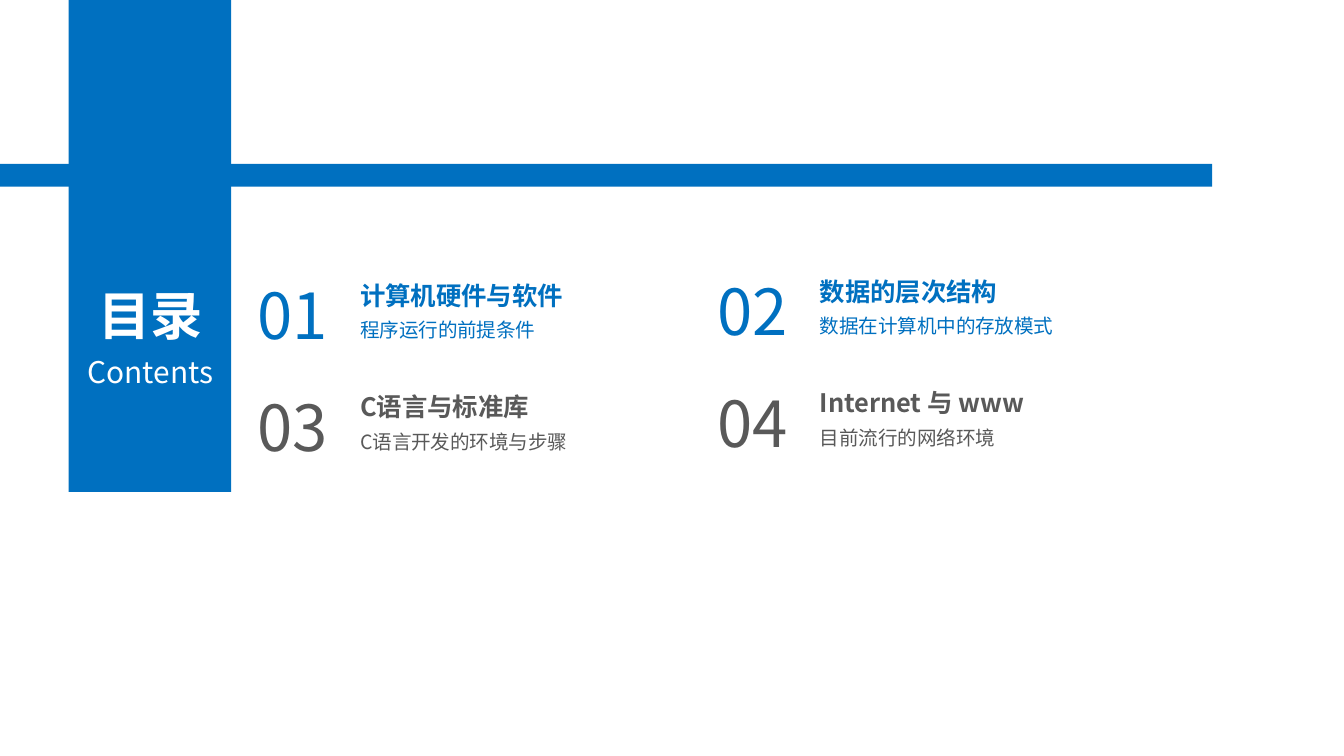
import pptx
import pptx.dml.color
import pptx.enum.shapes
import pptx.enum.text
import pptx.util
from lxml import etree

FONT = "Noto Sans CJK SC"
BLUE, GRAY, WHITE = "0070C0", "595959", "FFFFFF"
ANCHOR = pptx.enum.text.MSO_ANCHOR
ALIGN = pptx.enum.text.PP_ALIGN
inches = pptx.util.Inches

presentation = pptx.Presentation()
presentation.slide_width = inches(10)
presentation.slide_height = inches(10 * 9 / 16)
slide = presentation.slides.add_slide(presentation.slide_layouts[6])


def rgb(color):
    return pptx.dml.color.RGBColor.from_string(color)


def add_text(text, box, color, font, frame, paragraph):
    """Add a one-paragraph text box; the three dicts hold format values."""
    text_frame = slide.shapes.add_textbox(*map(inches, box)).text_frame
    line = text_frame.paragraphs[0]
    run = line.add_run()
    run.text = text
    run.font.name = FONT
    run.font.color.rgb = rgb(color)
    for target, values in ((run.font, font), (text_frame, frame), (line, paragraph)):
        for name, value in values.items():
            setattr(target, name, value)
    east_asian = etree.SubElement(
        run.font._element, pptx.oxml.ns.qn("a:ea"))
    east_asian.set("typeface", FONT)


# Formats
no_margins = dict(margin_left=0, margin_right=0, margin_top=0, margin_bottom=0)
indented = {**no_margins, "margin_left": inches(0.39)}
centered = {"alignment": ALIGN.CENTER}
number_format = (
    {"size": pptx.util.Pt(34)},
    {**no_margins, "vertical_anchor": ANCHOR.MIDDLE, "word_wrap": False},
    centered,
)
title_format = (
    {"size": pptx.util.Pt(13.6), "bold": True},
    {**indented, "vertical_anchor": ANCHOR.BOTTOM, "word_wrap": False},
    {"alignment": ALIGN.LEFT},
)
detail_format = (
    {"size": pptx.util.Pt(10.5)},
    {**indented, "vertical_anchor": ANCHOR.MIDDLE, "word_wrap": True},
    {"alignment": ALIGN.LEFT, "line_spacing": 1.2},
)

# Crossing bars: horizontal, then vertical
for box in ((0, 1.22, 9.02, 0.17), (0.51, 0, 1.21, 3.66)):
    bar = slide.shapes.add_shape(
        pptx.enum.shapes.MSO_SHAPE.RECTANGLE, *map(inches, box))
    bar.shadow.inherit = False
    bar.fill.solid()
    bar.fill.fore_color.rgb = rgb(BLUE)
    bar.line.fill.background()

# Heading on the vertical bar
add_text("Contents", (0.38, 2.48, 1.48, 0.42), WHITE,
         {"size": pptx.util.Pt(16)},
         {**no_margins, "vertical_anchor": ANCHOR.BOTTOM, "word_wrap": True}, centered)
add_text("目录", (0.38, 2.06, 1.48, 0.76), WHITE,
         {"size": pptx.util.Pt(28), "bold": True}, {"word_wrap": True}, centered)

# Chapters in a grid of two columns and two rows
chapters = [
    ("计算机硬件与软件", "程序运行的前提条件"),
    ("数据的层次结构", "数据在计算机中的存放模式"),
    ("C语言与标准库", "C语言开发的环境与步骤"),
    ("Internet 与 www", "目前流行的网络环境"),
]
GRID_LEFT, GRID_TOP = 2.29, 2.11
COLUMN_STEP, ROW_STEP = 3.42, 0.83
RIGHT_COLUMN_RISE = 0.03

for index, (title, detail) in enumerate(chapters):
    row, column = divmod(index, 2)
    color = GRAY if row else BLUE
    left = GRID_LEFT + column * COLUMN_STEP
    top = GRID_TOP + row * ROW_STEP - column * RIGHT_COLUMN_RISE
    add_text(f"{index + 1:02}", (left - 0.41, top - 0.06, 0.6, 0.58), color, *number_format)
    add_text(title, (left, top, 3.25, 0.2), color, *title_format)
    add_text(detail, (left, top + 0.2, 3.25, 0.26), color, *detail_format)

presentation.save("out.pptx")
